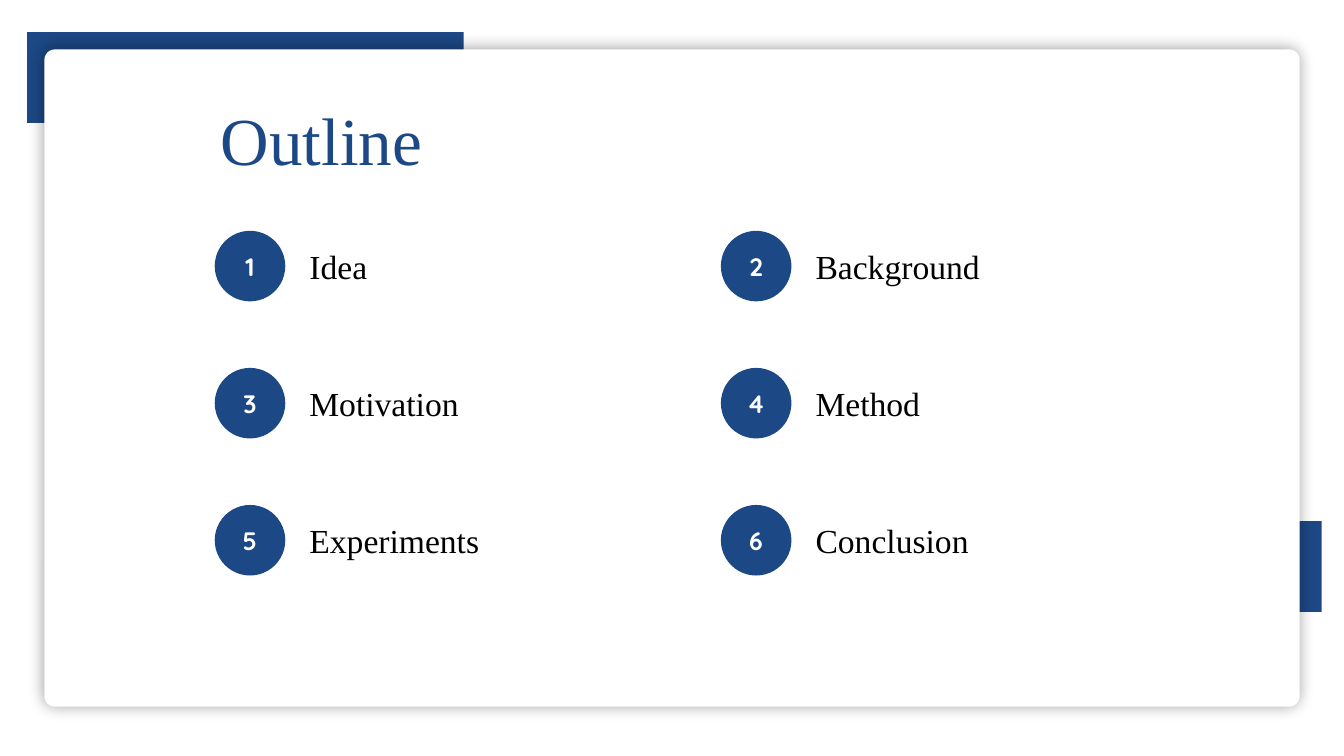
from lxml.etree import SubElement
from pptx import Presentation
from pptx.dml.color import RGBColor
from pptx.enum.shapes import MSO_SHAPE
from pptx.enum.text import MSO_ANCHOR, PP_ALIGN
from pptx.oxml.ns import qn
from pptx.util import Emu, Pt

PX = 9144  # EMU per px, 100 px to the inch

BLUE = RGBColor(0x1C, 0x48, 0x85)
WHITE = RGBColor(0xFF, 0xFF, 0xFF)
BLACK = RGBColor(0x00, 0x00, 0x00)

SERIF = "Times New Roman"
ROUNDED = "Quicksand"

TOPICS = ["Idea", "Background", "Motivation", "Method", "Experiments", "Conclusion"]
COLUMNS = 2
GRID_LEFT, GRID_TOP = 213, 229
COLUMN_STEP, ROW_STEP = 502, 136
BADGE = 70


def px(*lengths):
    return [Emu(length * PX) for length in lengths]


def write(shape, text, *, size, color, font=SERIF, bold=False, align=PP_ALIGN.JUSTIFY):
    frame = shape.text_frame
    frame.word_wrap = True
    para = frame.paragraphs[0]
    para.alignment = align
    span = para.add_run()
    span.text = text
    span.font.name = font
    span.font.size = Pt(size)
    span.font.bold = bold
    span.font.color.rgb = color


def add_block(page, kind, left, top, width, height, color):
    block = page.shapes.add_shape(kind, *px(left, top, width, height))
    block.shadow.inherit = False
    block.fill.solid()
    block.fill.fore_color.rgb = color
    block.line.fill.background()
    return block


def add_label(page, text, left, top, width, height, **text_format):
    box = page.shapes.add_textbox(*px(left, top, width, height))
    write(box, text, **text_format)


def add_glow_shadow(shape, blur, opacity):
    effects = shape._element.spPr.find(qn("a:effectLst"))
    shadow = SubElement(effects, qn("a:outerShdw"), blurRad=str(blur * PX),
                        dist="0", algn="ctr", rotWithShape="0")
    color = SubElement(shadow, qn("a:srgbClr"), val=str(BLACK))
    SubElement(color, qn("a:alpha"), val=str(opacity * 1000))


def add_card(page):
    card = add_block(page, MSO_SHAPE.ROUNDED_RECTANGLE, 44, 49, 1245, 652, WHITE)
    card.adjustments[0] = 0.016
    add_glow_shadow(card, blur=15, opacity=40)


def add_topic(page, index, topic):
    row, column = divmod(index, COLUMNS)
    left = GRID_LEFT + column * COLUMN_STEP
    top = GRID_TOP + row * ROW_STEP
    badge = add_block(page, MSO_SHAPE.OVAL, left, top, BADGE, BADGE, BLUE)
    badge.text_frame.vertical_anchor = MSO_ANCHOR.MIDDLE
    write(badge, str(index + 1), size=18, color=WHITE, font=ROUNDED, bold=True,
          align=PP_ALIGN.CENTER)
    add_label(page, topic, left + 84, top + 10, 405, 50, size=24, color=BLACK)


def main():
    deck = Presentation()
    deck.slide_width, deck.slide_height = px(1333, 750)
    page = deck.slides.add_slide(deck.slide_layouts[6])

    # Corner bars behind the card
    for left, top in [(878, 517), (27, 32)]:
        add_block(page, MSO_SHAPE.RECTANGLE, left, top, 433, 90, BLUE)
    add_card(page)

    # Title and numbered topics
    add_label(page, "Outline", 209, 93, 231, 91, size=48, color=BLUE)
    for index, topic in enumerate(TOPICS):
        add_topic(page, index, topic)

    deck.save("out.pptx")


if __name__ == "__main__":
    main()
